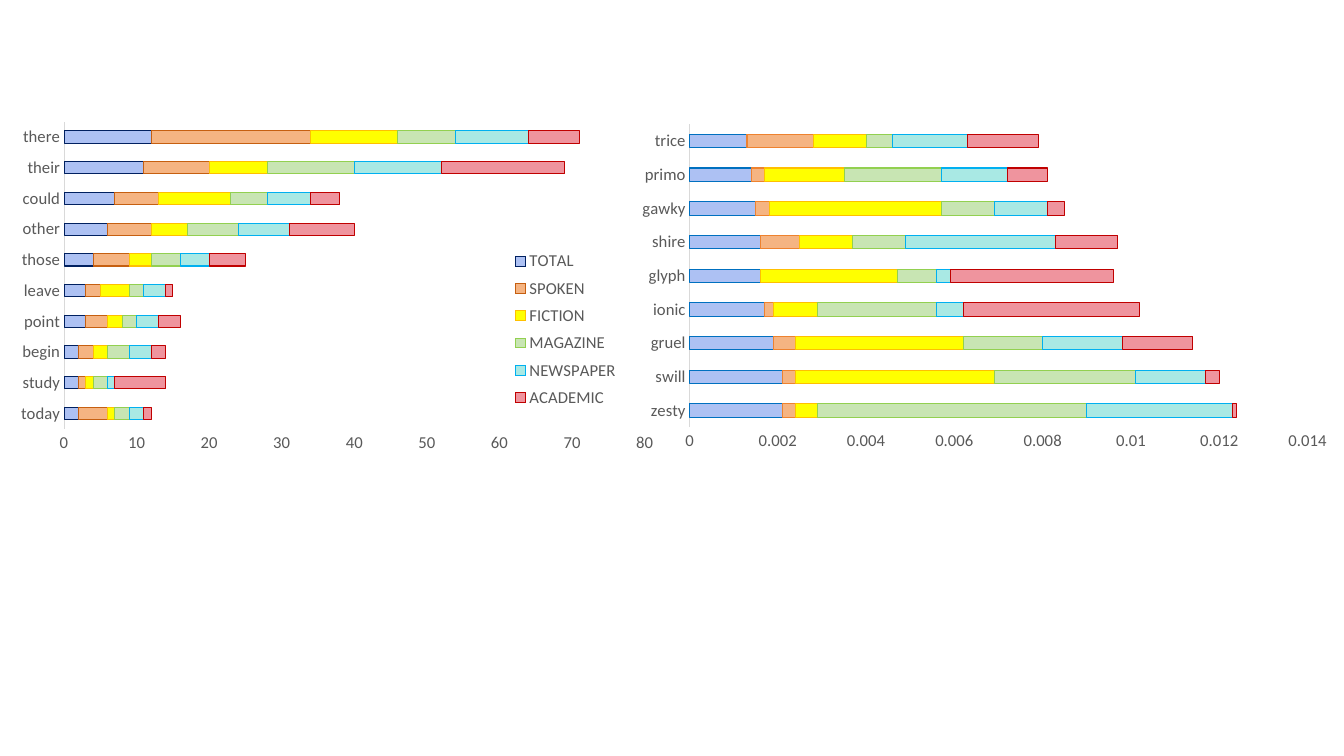
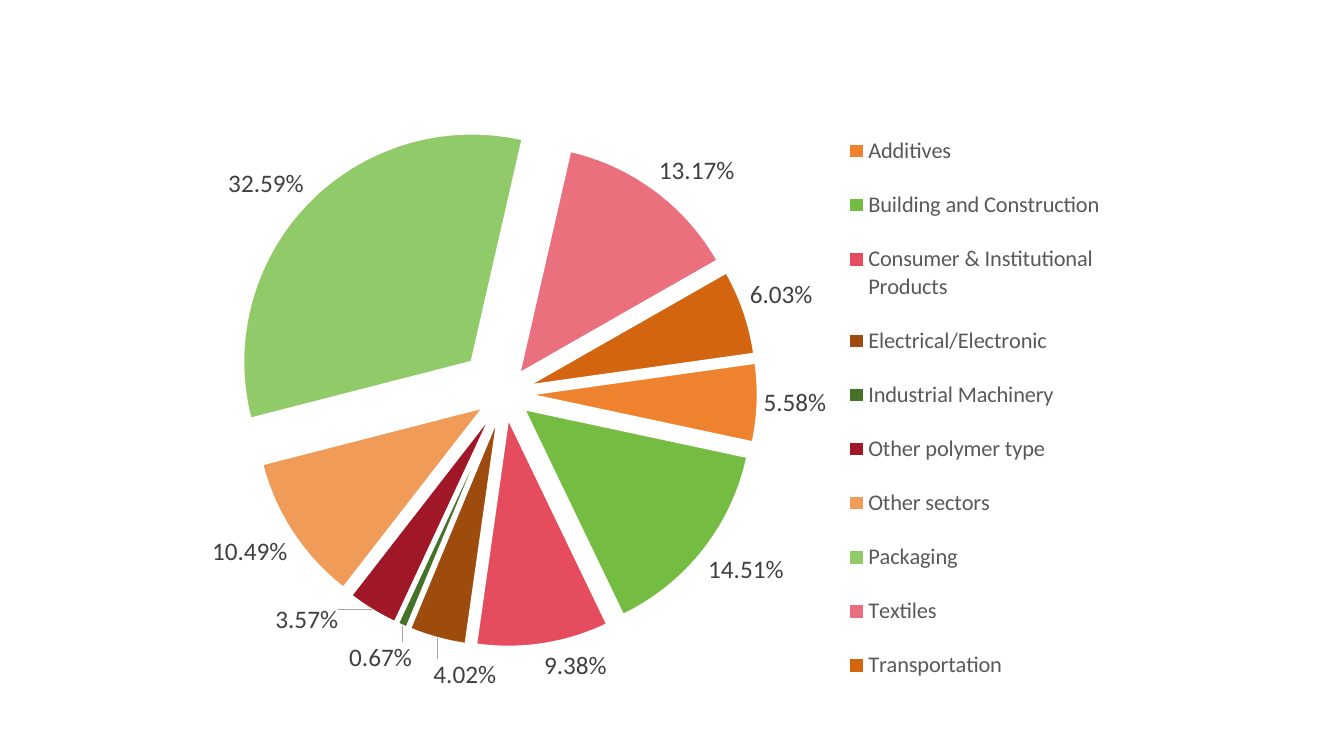
"""Build two chart slides: word frequencies by genre and polymer use by sector."""
import pptx
import pptx.chart.data
import pptx.dml.color
import pptx.enum.chart
import pptx.oxml
import pptx.oxml.ns
import pptx.util

RGB = pptx.dml.color.RGBColor
Inches, Pt = pptx.util.Inches, pptx.util.Pt
ChartType = pptx.enum.chart.XL_CHART_TYPE
LabelPosition = pptx.enum.chart.XL_LABEL_POSITION
qn = pptx.oxml.ns.qn

FONT = "Calibri"
GREY, DARK_GREY = RGB(0x59, 0x59, 0x59), RGB(0x40, 0x40, 0x40)
AXIS_GREY, LEADER_GREY = RGB(0xD9, 0xD9, 0xD9), RGB(0xA6, 0xA6, 0xA6)
WHITE = RGB(0xFF, 0xFF, 0xFF)
NAVY, RUST = RGB(0x00, 0x20, 0x60), RGB(0xC6, 0x5F, 0x10)
BLUE, ORANGE = RGB(0x00, 0x70, 0xC0), RGB(0xEE, 0x82, 0x2F)
GENRE_FILLS = [RGB.from_string(code) for code in
               ("ADC1F3", "F5B482", "FFFF00", "C8E5B3", "A9E9E4", "EF949E")]
GENRE_LINES = [RGB.from_string(code) for code in ("FFC000", "92D050", "00B0F0", "C00000")]
AXIS_SIZE = 11.9

BAR_CHARTS = [
    {
        "at": (0.08, 1.13, 6.53, 3.43),
        "plot": (8.5, 2.3, 88.2, 88.8),
        "legend": (75.7, 37.6, 18, 49.5),
        "scale": (80, 10),
        "lines": [NAVY, RUST] + GENRE_LINES,
        "words": ["today", "study", "begin", "point", "leave",
                  "those", "other", "could", "their", "there"],
        "series": {
            "TOTAL": (2, 2, 2, 3, 3, 4, 6, 7, 11, 12),
            "SPOKEN": (4, 1, 2, 3, 2, 5, 6, 6, 9, 22),
            "FICTION": (1, 1, 2, 2, 4, 3, 5, 10, 8, 12),
            "MAGAZINE": (2, 2, 3, 2, 2, 4, 7, 5, 12, 8),
            "NEWSPAPER": (2, 1, 3, 3, 3, 4, 7, 6, 12, 10),
            "ACADEMIC": (1, 7, 2, 3, 1, 5, 9, 4, 17, 7),
        },
    },
    {
        "at": (6.28, 1.09, 6.91, 3.75),
        "plot": (8.1, 3.8, 88.7, 80.2),
        "legend": None,
        "scale": (0.014, 0.002),
        "lines": [BLUE, ORANGE] + GENRE_LINES,
        "words": ["zesty", "swill", "gruel", "ionic", "glyph",
                  "shire", "gawky", "primo", "trice"],
        "series": {
            "Series 1": (0.0021, 0.0021, 0.0019, 0.0017, 0.0016, 0.0016, 0.0015, 0.0014, 0.0013),
            "Series 2": (0.0003, 0.0003, 0.0005, 0.0002, 0, 0.0009, 0.0003, 0.0003, 0.0015),
            "Series 3": (0.0005, 0.0045, 0.0038, 0.001, 0.0031, 0.0012, 0.0039, 0.0018, 0.0012),
            "Series 4": (0.0061, 0.0032, 0.0018, 0.0027, 0.0009, 0.0012, 0.0012, 0.0022, 0.0006),
            "Series 5": (0.0033, 0.0016, 0.0018, 0.0006, 0.0003, 0.0034, 0.0012, 0.0015, 0.0017),
            "Series 6": (0.0001, 0.0003, 0.0016, 0.004, 0.0037, 0.0014, 0.0004, 0.0009, 0.0016),
        },
    },
]

PIE_AT = (1.39, 1.02, 9.98, 6)
PIE_PLOT = (11, 6.2, 50.4, 83.8)
PIE_LEGEND = (69.7, 1.3, 26.5, 98.5)
PIE_START, PIE_EXPLOSION = 82, 11
PERCENT = "0.00%"
SECTORS = [
    ("Additives", 0.0558, "EE822F"),
    ("Building and Construction", 0.1451, "75BD42"),
    ("Consumer & Institutional Products", 0.0938, "E54C5E"),
    ("Electrical/Electronic", 0.0402, "9E4C0D"),
    ("Industrial Machinery", 0.0067, "467128"),
    ("Other polymer type", 0.0357, "A01727"),
    ("Other sectors", 0.1049, "F19B59"),
    ("Packaging", 0.3259, "91CA68"),
    ("Textiles", 0.1317, "EA707E"),
    ("Transportation", 0.0603, "D36511"),
]
EXTRA_EXPLOSION = {"Packaging": 20}
LABEL_SHIFTS = {
    "Electrical/Electronic": (6, 2.6),
    "Industrial Machinery": (1.2, 1.9),
    "Other polymer type": (-3.1, -1.8),
}


def chart_element(tag, **attributes):
    """Make one chart XML element."""
    element = pptx.oxml.parse_xml(
        f'<c:{tag} xmlns:c="http://schemas.openxmlformats.org/drawingml/2006/chart"/>')
    for name, value in attributes.items():
        element.set(name, str(value))
    return element


def manual_layout(percents, inner=False, edges=True):
    """Make a layout from percentages of the chart's size."""
    layout, manual = chart_element("layout"), chart_element("manualLayout")
    layout.append(manual)
    if inner:
        manual.append(chart_element("layoutTarget", val="inner"))
    if edges:
        manual.append(chart_element("xMode", val="edge"))
        manual.append(chart_element("yMode", val="edge"))
    for tag, percent in zip("xywh", percents):
        manual.append(chart_element(tag, val=round(percent / 100, 4)))
    return layout


def set_font(font, size, color=GREY):
    """Apply the shared typeface."""
    font.name, font.size, font.color.rgb = FONT, Pt(size), color


def paint(shape_format, fill, line, width):
    """Set a solid fill and outline."""
    shape_format.fill.solid()
    shape_format.fill.fore_color.rgb = fill
    shape_format.line.color.rgb = line
    shape_format.line.width = Pt(width)


def place_part(parent, layout, index):
    """Replace the layout of a plot area or legend."""
    for old in parent.findall(qn("c:layout")):
        parent.remove(old)
    parent.insert(index, layout)


def show_leader_lines(labels):
    """Draw grey lines from moved labels to their slices."""
    element = labels._element
    for tag in ("c:showLeaderLines", "c:leaderLines"):
        for old in element.findall(qn(tag)):
            element.remove(old)
    leader = chart_element("leaderLines")
    leader.append(pptx.oxml.parse_xml(
        '<c:spPr xmlns:c="http://schemas.openxmlformats.org/drawingml/2006/chart"'
        ' xmlns:a="http://schemas.openxmlformats.org/drawingml/2006/main">'
        f'<a:ln w="{Pt(0.75)}"><a:solidFill><a:srgbClr val="{LEADER_GREY}"/>'
        '</a:solidFill></a:ln></c:spPr>'))
    element.append(chart_element("showLeaderLines", val=1))
    element.append(leader)


def add_chart(page, kind, at, categories, series, plot, legend, legend_size):
    """Add a chart with its plot area and legend in place."""
    data = pptx.chart.data.CategoryChartData()
    data.categories = categories
    for name, values in series.items():
        data.add_series(name, values)
    chart = page.shapes.add_chart(kind, *map(Inches, at), data).chart
    chart.has_title = False
    chart.font.name, chart.font.size = FONT, Pt(10)
    area = chart._chartSpace.find(".//" + qn("c:plotArea"))
    place_part(area, manual_layout(plot, inner=True), 0)
    chart.has_legend = legend is not None
    if legend:
        chart.legend.position = pptx.enum.chart.XL_LEGEND_POSITION.RIGHT
        chart.legend.include_in_layout = True
        set_font(chart.legend.font, legend_size)
        place_part(chart.legend._element, manual_layout(legend), 1)
    return chart


def add_word_chart(page, item):
    """Add one stacked bar chart."""
    chart = add_chart(page, ChartType.BAR_STACKED, item["at"], item["words"],
                      item["series"], item["plot"], item["legend"], AXIS_SIZE)
    bars = chart.plots[0]
    bars.gap_width, bars.overlap, bars.vary_by_categories = 150, 100, False
    for series, fill, line in zip(bars.series, GENRE_FILLS, item["lines"]):
        paint(series.format, fill, line, 0.75)
    for axis in (chart.category_axis, chart.value_axis):
        axis.has_major_gridlines = False
        axis.major_tick_mark = axis.minor_tick_mark = pptx.enum.chart.XL_TICK_MARK.NONE
        set_font(axis.tick_labels.font, AXIS_SIZE)
    chart.category_axis.format.line.color.rgb = AXIS_GREY
    chart.category_axis.format.line.width = Pt(0.75)
    values = chart.value_axis
    values.format.line.fill.background()
    values.minimum_scale = 0
    values.maximum_scale, values.major_unit = item["scale"]
    values.tick_labels.number_format = "General"
    values.tick_labels.number_format_is_linked = False


def add_sector_chart(page):
    """Add the exploded pie chart."""
    names, shares, colors = zip(*SECTORS)
    chart = add_chart(page, ChartType.PIE, PIE_AT, names, {"Series 1": shares},
                      PIE_PLOT, PIE_LEGEND, 16)
    pie = chart.plots[0]
    pie.vary_by_categories = True
    pie._element.append(chart_element("firstSliceAng", val=PIE_START))
    series = pie.series[0]
    series.format.line.color.rgb = WHITE
    series._element.find(qn("c:spPr")).addnext(chart_element("explosion", val=PIE_EXPLOSION))
    labels = series.data_labels
    labels.show_value = True
    labels.number_format, labels.number_format_is_linked = PERCENT, False
    labels.position = LabelPosition.OUTSIDE_END
    set_font(labels.font, 18, DARK_GREY)
    show_leader_lines(labels)
    for index, (name, color) in enumerate(zip(names, colors)):
        point = series.points[index]
        paint(point.format, RGB.from_string(color), WHITE, 1.5)
        slice_element = series._element.findall(qn("c:dPt"))[index]
        slice_element.find(qn("c:spPr")).addprevious(
            chart_element("explosion", val=EXTRA_EXPLOSION.get(name, PIE_EXPLOSION)))
        if name in LABEL_SHIFTS:
            label = point.data_label
            set_font(label.font, 18, DARK_GREY)
            label.position = LabelPosition.BEST_FIT
            element = labels._element.findall(qn("c:dLbl"))[-1]
            element.insert(1, manual_layout(LABEL_SHIFTS[name], edges=False))
            element.insert(2, chart_element("numFmt", formatCode=PERCENT, sourceLinked=0))


def main():
    """Build and save the deck."""
    deck = pptx.Presentation()
    deck.slide_width, deck.slide_height = Inches(13.33), Inches(7.5)
    words_page, sectors_page = (deck.slides.add_slide(deck.slide_layouts[6]) for _ in range(2))
    for item in BAR_CHARTS:
        add_word_chart(words_page, item)
    add_sector_chart(sectors_page)
    deck.save("out.pptx")


if __name__ == "__main__":
    main()
